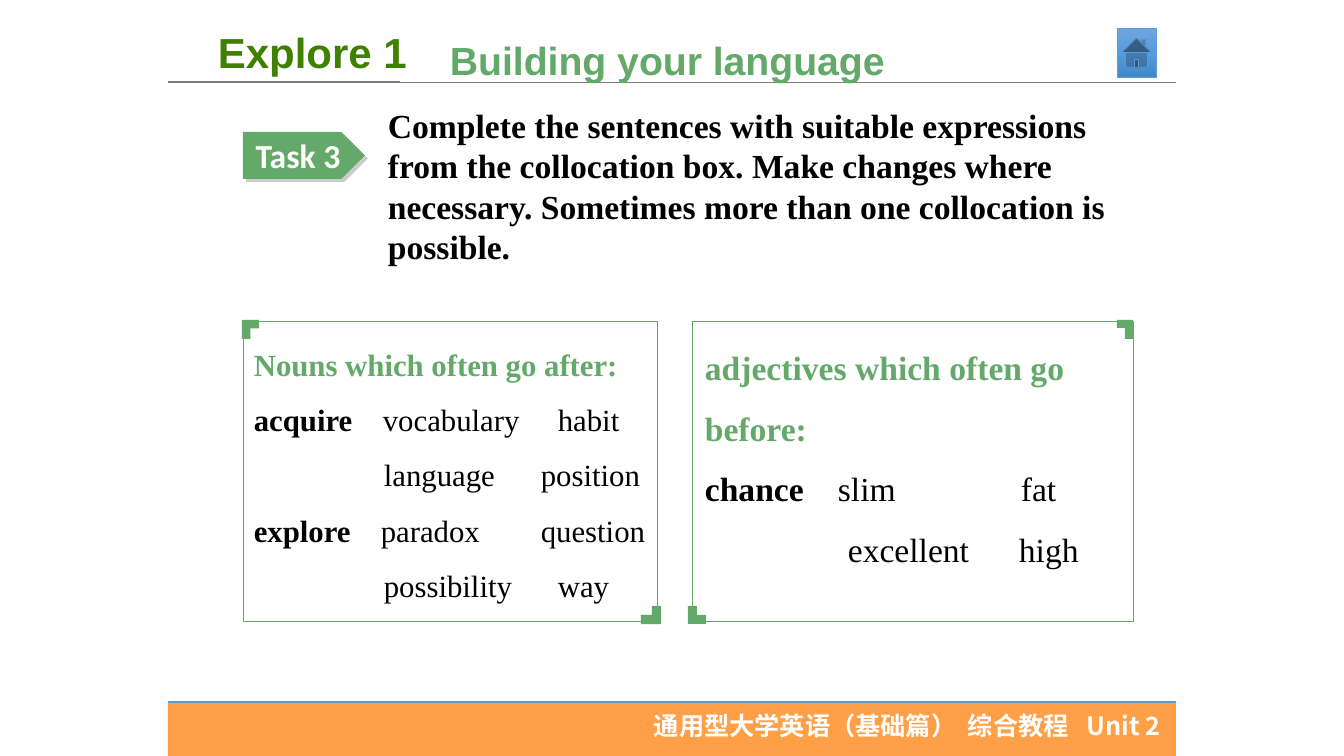
from copy import deepcopy

from lxml import etree
from pptx import Presentation
from pptx import util as u
from pptx.dml.color import RGBColor
from pptx.enum import shapes, text
from pptx.oxml import ns

PX = 12192000 / 1344
COLORS = {
    "green": "64A96A", "dark green": "408000", "orange": "FF9F47",
    "blue": "5B9BD5", "gray": "7C7C7C", "shadow": "808080",
    "black": "000000", "white": "FFFFFF",
    "sky top": "71A6DB", "sky middle": "559BDB", "sky bottom": "448ACA",
}
SERIF = "Times New Roman"
KIND = shapes.MSO_SHAPE


def px(*lengths):
    return [u.Emu(round(length * PX)) for length in lengths]


def rgb(name):
    return RGBColor.from_string(COLORS[name])


def add_node(parent, tag, **attributes):
    return etree.SubElement(parent, ns.qn(tag), {k: str(v) for k, v in attributes.items()})


def write(para, content, font=SERIF, size=24, color="black", bold=True):
    span = para.add_run()
    span.text = content
    span.font.name, span.font.size, span.font.bold = font, u.Pt(size), bold
    span.font.color.rgb = rgb(color)
    add_node(span.font._element, "a:ea", typeface=font)


def set_tabs(para, stops):
    tab_list = add_node(para._p.get_or_add_pPr(), "a:tabLst")
    for stop in stops:
        add_node(tab_list, "a:tab", pos=px(stop)[0], algn="l")


class SlideBuilder:
    def __init__(self, deck):
        self.slide = deck.slides.add_slide(deck.slide_layouts[6])

    def shape(self, kind, place, fill=None, line=None, rotation=0, flip=""):
        shape = self.slide.shapes.add_shape(kind, *px(*place))
        shape.shadow.inherit = False
        if fill:
            shape.fill.solid()
            shape.fill.fore_color.rgb = rgb(fill)
        else:
            shape.fill.background()
        if line:
            shape.line.color.rgb = rgb(line)
            shape.line.width = u.Pt(0.5)
        else:
            shape.line.fill.background()
        shape.rotation = rotation
        for axis in flip:
            shape._element.spPr.xfrm.set("flip" + axis, "1")
        return shape

    def rule(self, left, right, y, color, width):
        line = self.slide.shapes.add_connector(
            shapes.MSO_CONNECTOR.STRAIGHT, *px(left, y, right, y))
        line.line.color.rgb = rgb(color)
        line.line.width = u.Pt(width)
        add_node(line._element.spPr, "a:effectLst")

    def text_box(self, place, content, wrap=True, tabs=(), **style):
        frame = self.slide.shapes.add_textbox(*px(*place)).text_frame
        frame.word_wrap = wrap
        frame.auto_size = text.MSO_AUTO_SIZE.SHAPE_TO_FIT_TEXT
        if tabs:
            set_tabs(frame.paragraphs[0], tabs)
        write(frame.paragraphs[0], content, **style)
        return frame

    def collocations(self, place, heading, rows, size):
        """Rows hold a headword, two collocates and their two tab stops."""
        frame = self.text_box(place, heading, size=size, color="green")
        for headword, first, second, stops in rows:
            para = frame.add_paragraph()
            set_tabs(para, stops)
            if headword:
                write(para, headword, size=size)
            write(para, f"\t{first}\t{second}", size=size, bold=False)
        for para in frame.paragraphs:
            para.line_spacing = 1.5

    def task_tag(self, place, label):
        tag = self.shape(KIND.PENTAGON, place, fill="green")
        effects = tag._element.spPr.find(ns.qn("a:effectLst"))
        shadow = add_node(effects, "a:outerShdw", blurRad=0, dist=u.Pt(3),
                          dir=45 * 60000, algn="ctr", rotWithShape=0)
        tint = add_node(shadow, "a:srgbClr", val=COLORS["shadow"])
        add_node(tint, "a:alpha", val=40000)
        frame = tag.text_frame
        frame.vertical_anchor = text.MSO_ANCHOR.MIDDLE
        frame.paragraphs[0].alignment = text.PP_ALIGN.CENTER
        write(frame.paragraphs[0], label, font="Calibri", color="white")

    def home_button(self, place):
        button = self.shape(KIND.ACTION_BUTTON_HOME, place, line="blue")
        button.fill.gradient()
        button.fill.gradient_angle = 270
        stops = button._element.spPr.find(".//" + ns.qn("a:gsLst"))
        stops.insert(1, deepcopy(stops[0]))
        names = ("sky top", "sky middle", "sky bottom")
        for index, (stop, name) in enumerate(zip(button.fill.gradient_stops, names)):
            stop.position = index / 2
            stop.color.rgb = rgb(name)


def main():
    deck = Presentation()
    deck.slide_width, deck.slide_height = px(1344, 756)
    page = SlideBuilder(deck)

    page.shape(KIND.RECTANGLE, (168, 702, 1008, 54), fill="orange")
    page.rule(168, 1176, 702, "blue", 1.5)
    page.rule(168, 400, 82, "gray", 1.5)
    page.rule(377, 1176, 82, "gray", 0.25)
    page.text_box((208, 22, 210, 60), "Explore 1", wrap=False,
                  font="Arial", size=30, color="dark green")
    page.text_box((644, 705, 531, 40), "通用型大学英语（基础篇）\t综合教程\tUnit 2",
                  tabs=(314, 433), font="Noto Sans CJK SC", size=18, color="white")
    page.text_box((440, 31, 647, 57), "Building your language",
                  font="Arial", size=28, color="green")

    page.shape(KIND.RECTANGLE, (243, 321, 414, 300), line="green")
    page.shape(KIND.CORNER, (242, 320, 17, 19), fill="green", flip="V")
    page.shape(KIND.CORNER, (642, 605, 18, 20), fill="green", rotation=270)
    page.collocations((244, 322, 434, 290), "Nouns which often go after:", [
        ("acquire", "vocabulary", "habit", (129, 304)),
        ("", "language", "position", (130, 287)),
        ("explore", "paradox", "question", (127, 287)),
        ("", "possibility", "way", (130, 304)),
    ], size=22)

    page.shape(KIND.RECTANGLE, (692, 321, 441, 300), line="green")
    page.shape(KIND.CORNER, (1117, 320, 16, 19), fill="green", flip="HV")
    page.shape(KIND.CORNER, (688, 606, 18, 18), fill="green", rotation=270, flip="V")
    page.collocations((695, 322, 438, 254), "adjectives which often go before:", [
        ("chance", "slim", "fat", (133, 316)),
        ("", "excellent", "high", (143, 314)),
    ], size=24)

    page.task_tag((243, 132, 122, 47), "Task 3")
    page.text_box((378, 100, 742, 173),
                  "Complete the sentences with suitable expressions from the "
                  "collocation box. Make changes where necessary. Sometimes more "
                  "than one collocation is possible.")
    page.home_button((1117, 28, 39, 49))
    deck.save("out.pptx")


if __name__ == "__main__":
    main()
